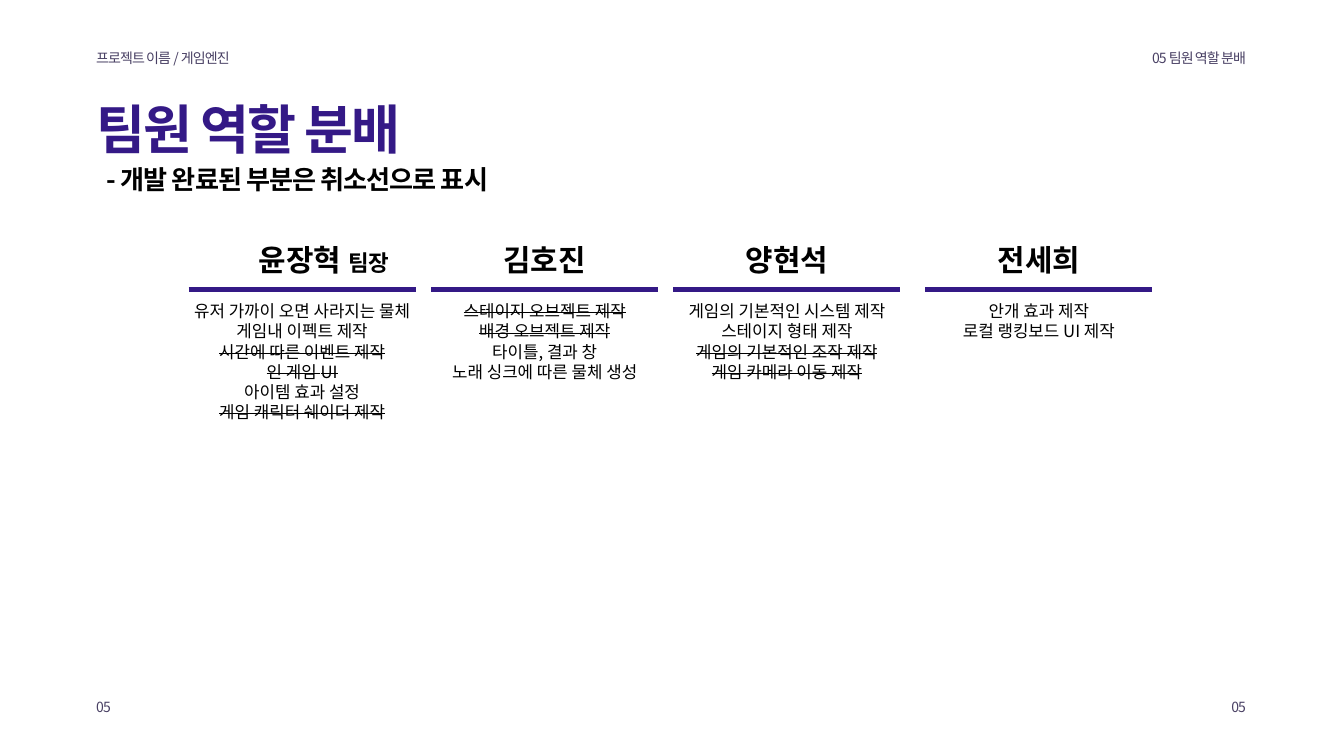
from lxml import etree
from pptx import Presentation
from pptx.enum import shapes, text
from pptx.oxml.ns import qn
from pptx.util import Pt

# Content
SECTION = "팀원 역할 분배"
PROJECT = "프로젝트 이름 / 게임엔진"
NOTE = "- 개발 완료된 부분은 취소선으로 표시"
PAGE = "05"

# Members: column centre, name centre, name width, task width, tasks (text, done)
MEMBERS = [
    dict(name="윤장혁 ", role="팀장", center=323.7, name_center=347.4,
         name_width=196.6, task_width=276.5, tasks=[
             ("유저 가까이 오면 사라지는 물체", False),
             ("게임내 이펙트 제작", False),
             ("시간에 따른 이벤트 제작", True),
             ("인 게임 UI", True),
             ("아이템 효과 설정", False),
             ("게임 캐릭터 쉐이더 제작", True)]),
    dict(name="김호진", role="", center=583.6, name_center=583.2,
         name_width=149.8, task_width=240.5, tasks=[
             ("스테이지 오브젝트 제작", True),
             ("배경 오브젝트 제작", True),
             ("타이틀, 결과 창", False),
             ("노래 싱크에 따른 물체 생성", False)]),
    dict(name="양현석", role="", center=843.1, name_center=843.1,
         name_width=149.8, task_width=252, tasks=[
             ("게임의 기본적인 시스템 제작", False),
             ("스테이지 형태 제작", False),
             ("게임의 기본적인 조작 제작", True),
             ("게임 카메라 이동 제작", True)]),
    dict(name="전세희", role="", center=1113.1, name_center=1113.1,
         name_width=149.8, task_width=197.3, tasks=[
             ("안개 효과 제작", False),
             ("로컬 랭킹보드 UI 제작", False)]),
]

# Style
FONT = "Noto Sans CJK KR"
COLORS = {"accent": "341986", "muted": "483F63", "ink": "000000"}
LEFT, CENTER, RIGHT = (text.PP_ALIGN.LEFT, text.PP_ALIGN.CENTER,
                       text.PP_ALIGN.RIGHT)
STYLES = {
    "label": dict(size=15, bold=False, color="muted", spc=-1),
    "title": dict(size=57, bold=True, color="accent", spc=-2),
    "note": dict(size=28, bold=True, color="ink", spc=-1),
    "name": dict(size=32, bold=True, color="ink", spc=0),
    "role": dict(size=24, bold=True, color="ink", spc=0),
    "task": dict(size=18, bold=False, color="ink", spc=0),
}
LINE_HEIGHT = 1.2
PADDING = 7.2
MARGIN = 96
RIGHT_EDGE = 1342
HEADER_Y, FOOTER_Y = 49, 744.5
NAME_Y, RULE_Y, TASK_Y = 254.9, 310.3, 319
RULE_WIDTH = 243

prs = Presentation()
prs.slide_width, prs.slide_height = Pt(1440), Pt(810)
s = prs.slides.add_slide(prs.slide_layouts[6])


def add_run(p, content, style, done=False):
    fmt = STYLES[style]
    r = p.add_run()
    r.text = content
    values = {"name": FONT, "size": Pt(fmt["size"]), "bold": fmt["bold"]}
    for key, value in values.items():
        setattr(r.font, key, value)
    r.font.color.rgb = RGBColor.from_string(COLORS[fmt["color"]])
    rPr = r._r.get_or_add_rPr()
    if fmt["spc"]:
        rPr.set("spc", str(fmt["spc"] * 100))
    if done:
        rPr.set("strike", "sngStrike")
    etree.SubElement(rPr, qn("a:ea")).set("typeface", FONT)


def add_text(x, y, width, paragraphs, align=LEFT, wrap=True):
    """Each paragraph is a list of (text, style, done) runs."""
    line = STYLES[paragraphs[0][0][1]]["size"] * LINE_HEIGHT
    height = line * len(paragraphs) + 2 * PADDING / 2
    sp = s.shapes.add_textbox(Pt(x), Pt(y), Pt(width), Pt(height))
    tf = sp.text_frame
    tf.word_wrap = wrap
    tf.auto_size = text.MSO_AUTO_SIZE.SHAPE_TO_FIT_TEXT
    for i, runs in enumerate(paragraphs):
        p = tf.add_paragraph() if i else tf.paragraphs[0]
        p.alignment = align
        p.line_spacing = Pt(line)
        for run in runs:
            add_run(p, *run)


def add_rule(center):
    line = s.shapes.add_connector(
        shapes.MSO_CONNECTOR.STRAIGHT, Pt(center - RULE_WIDTH / 2), Pt(RULE_Y),
        Pt(center + RULE_WIDTH / 2), Pt(RULE_Y))
    line.line.color.rgb = RGBColor.from_string(COLORS["accent"])
    line.line.width = Pt(4.5)
    etree.SubElement(line._element.spPr, qn("a:effectLst"))


from pptx.dml.color import RGBColor

# Header and title
add_text(RIGHT_EDGE - 628.5, HEADER_Y, 628.5,
         [[(f"{PAGE} {SECTION}", "label")]], RIGHT)
add_text(MARGIN, HEADER_Y, 414, [[(PROJECT, "label")]])
add_text(MARGIN, 99.4, 980, [[(SECTION, "title")]])
add_text(106.6, 171.4, 1176.5, [[(NOTE, "note")]])

# Member columns
for m in MEMBERS:
    name = [(m["name"], "name")]
    if m["role"]:
        name.append((m["role"], "role"))
    add_text(m["name_center"] - m["name_width"] / 2, NAME_Y, m["name_width"],
             [name], CENTER)
    add_rule(m["center"])
    add_text(m["center"] - m["task_width"] / 2, TASK_Y, m["task_width"],
             [[(task, "task", done)] for task, done in m["tasks"]],
             CENTER, wrap=False)

# Footer
add_text(RIGHT_EDGE - 92, FOOTER_Y, 92, [[(PAGE, "label")]], RIGHT)
add_text(MARGIN, FOOTER_Y, 202, [[(PAGE, "label")]])

prs.save("out.pptx")
